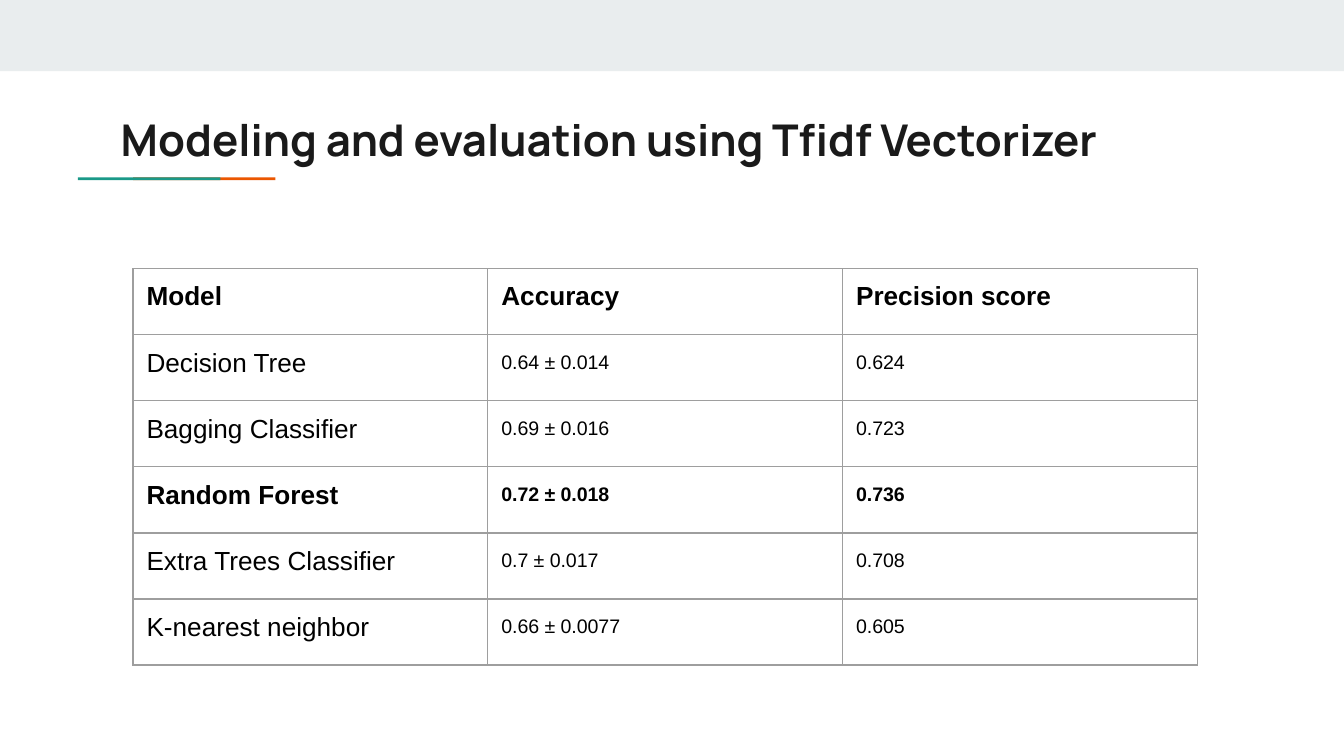
from lxml.etree import SubElement
from pptx import Presentation
from pptx.dml.color import RGBColor
from pptx.enum.shapes import MSO_SHAPE
from pptx.enum.text import MSO_ANCHOR
from pptx.oxml.ns import qn
from pptx.util import Inches, Pt

COLORS = {
    "band": "E9EDEE",
    "teal": "1A9988",
    "orange": "EB5600",
    "title": "1A1A1A",
    "text": "000000",
    "grid": "9E9E9E",
}
RESULTS = [
    ("Model", "Accuracy", "Precision score"),
    ("Decision Tree", "0.64 ± 0.014", "0.624"),
    ("Bagging Classifier", "0.69 ± 0.016", "0.723"),
    ("Random Forest", "0.72 ± 0.018", "0.736"),
    ("Extra Trees Classifier", "0.7 ± 0.017", "0.708"),
    ("K-nearest neighbor", "0.66 ± 0.0077", "0.605"),
]
BOLD_MODELS = ("Model", "Random Forest")


class SlideBuilder:
    """Draws styled elements on the current slide."""

    def __init__(self, slide):
        self.slide = slide
        self.margin = Inches(0.1)

    def style(self, paragraph, font_name, size, color, bold):
        font = paragraph.font
        font.name, font.size, font.bold = font_name, Pt(size), bold
        font.color.rgb = RGBColor.from_string(COLORS[color])

    def inset(self, box):
        box.margin_left = box.margin_right = self.margin
        box.margin_top = box.margin_bottom = self.margin

    def bar(self, left, top, width, height, color):
        bar = self.slide.shapes.add_shape(
            MSO_SHAPE.RECTANGLE, Inches(left), Inches(top), Inches(width), Inches(height)
        )
        bar.shadow.inherit = False
        bar.fill.solid()
        bar.fill.fore_color.rgb = RGBColor.from_string(COLORS[color])
        bar.line.fill.background()

    def title(self, text, left, top, width, height):
        frame = self.slide.shapes.add_textbox(
            Inches(left), Inches(top), Inches(width), Inches(height)
        ).text_frame
        frame.word_wrap = True
        frame.vertical_anchor = MSO_ANCHOR.MIDDLE
        self.inset(frame)
        heading = frame.paragraphs[0]
        heading.text = text
        self.style(heading, "Manrope", 23.4, "title", True)

    def border(self, cell):
        properties = cell._tc.get_or_add_tcPr()
        for position, side in enumerate(("a:lnL", "a:lnR", "a:lnT", "a:lnB")):
            line = properties.makeelement(qn(side), {"w": str(Pt(0.75))})
            fill = SubElement(line, qn("a:solidFill"))
            SubElement(fill, qn("a:srgbClr"), val=COLORS["grid"])
            properties.insert(position, line)

    def table(self, rows, left, top, width, height):
        table = self.slide.shapes.add_table(
            len(rows), len(rows[0]), Inches(left), Inches(top), Inches(width), Inches(height)
        ).table
        table.first_row = table.horz_banding = False
        for row_index, values in enumerate(rows):
            for column_index, value in enumerate(values):
                cell = table.cell(row_index, column_index)
                cell.fill.background()
                self.inset(cell)
                self.border(cell)
                entry = cell.text_frame.paragraphs[0]
                entry.text = value
                is_score = row_index > 0 and column_index > 0
                if is_score:
                    entry.line_spacing = 1.15
                size = 10.5 if is_score else 14
                self.style(entry, "Arial", size, "text", values[0] in BOLD_MODELS)


def main():
    presentation = Presentation()
    presentation.slide_width = Inches(10)
    presentation.slide_height = Inches(10 * 9 / 16)
    builder = SlideBuilder(presentation.slides.add_slide(presentation.slide_layouts[6]))
    builder.bar(0, 0, 10, 0.53, "band")
    builder.bar(0.99, 1.32, 1.06, 0.02, "orange")
    builder.bar(0.58, 1.32, 1.06, 0.02, "teal")
    builder.title("Modeling and evaluation using Tfidf Vectorizer", 0.8, 0.74, 8.41, 0.59)
    builder.table(RESULTS, 0.99, 2, 7.92, 2.95)
    presentation.save("out.pptx")


if __name__ == "__main__":
    main()
